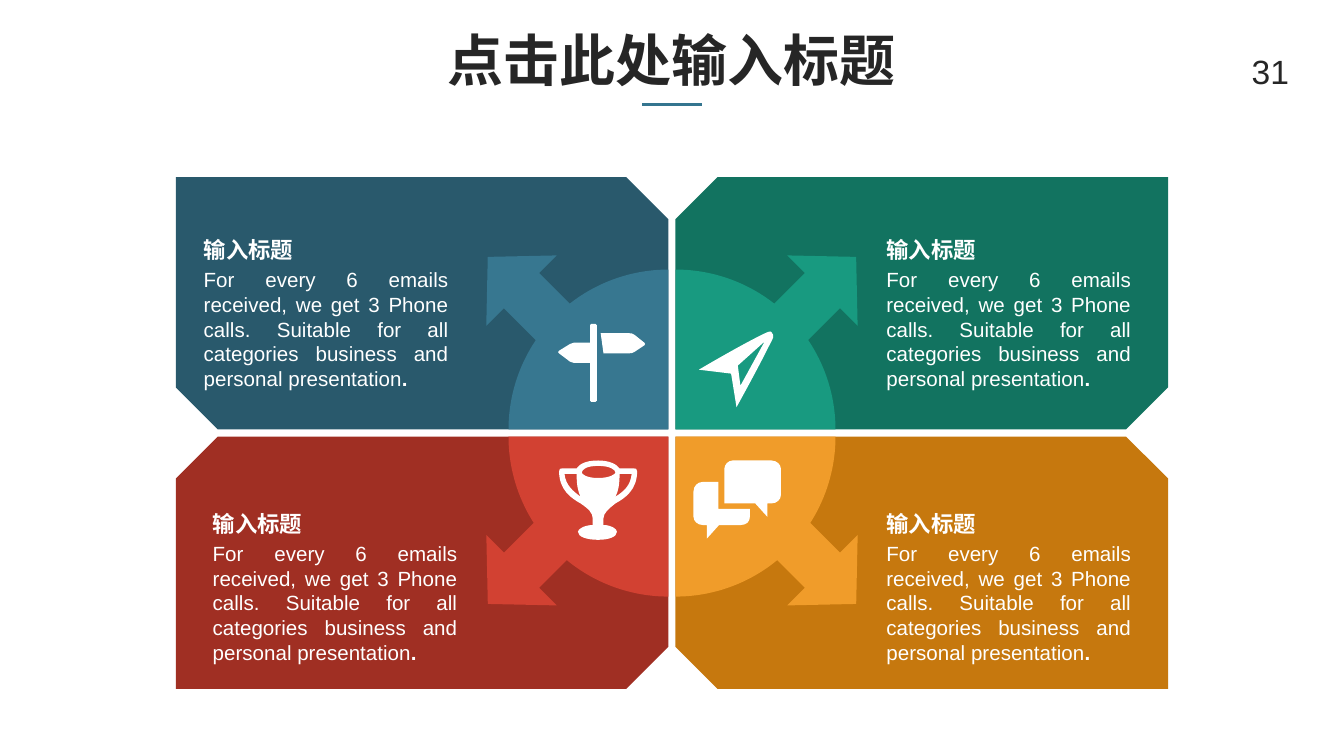
import pptx
import pptx.util
import pptx.dml.color
import pptx.enum.shapes
import pptx.enum.text
import pptx.oxml.ns
import lxml.etree

Pt = pptx.util.Pt
qn = pptx.oxml.ns.qn
SHAPE = pptx.enum.shapes.MSO_SHAPE
ALIGN = pptx.enum.text.PP_ALIGN

COLORS = {
    "ink": "262626", "white": "FFFFFF", "rule": "34758F",
    "blue": "377790", "blue_dark": "29596C",
    "green": "189A80", "green_dark": "127360",
    "red": "D24132", "red_dark": "A02F23",
    "orange": "F09C2A", "orange_dark": "C6780E",
}
FONT = "Arial"
TITLE = "点击此处输入标题"
PAGE_NUMBER = "31"
HEADING = "输入标题"
BODY = ("For every 6 emails received, we get 3 Phone calls. "
        "Suitable for all categories business and personal presentation")

SIGNPOST = [
    [(20.9, 0.7), (20.9, 41.2), (20.9, 41.8, 20.9, 41.8, 20.2, 41.8), (18, 41.8),
     (17.3, 41.8, 17.3, 41.8, 17.3, 41.2), (17.3, 20.9), (8.6, 20.9),
     (7.9, 20.9, 7.2, 20.7, 6.5, 20.2), (0.7, 15.8), (0, 15.5, 0, 14.8, 0.7, 14.4),
     (6.5, 10.8), (7.2, 10.3, 7.9, 10.1, 8.6, 10.1), (17.3, 10.1), (17.3, 0.7),
     (17.3, 0, 17.3, 0, 18, 0), (20.2, 0), (20.9, 0, 20.9, 0, 20.9, 0.7)],
    [(46.8, 10.8), (46.8, 11.2, 46.6, 11.4, 46.4, 11.5), (41, 15.1),
     (40.3, 15.6, 39.2, 15.8, 38.2, 15.8), (24.5, 15.8), (23, 5), (38.2, 5),
     (39.2, 5, 40.3, 5.2, 41, 5.8), (46.4, 10.1), (46.6, 10.2, 46.8, 10.4, 46.8, 10.8)],
]
PAPER_PLANE = [
    [(37.4, 8.6), (31.7, 20.2, 20.2, 41, 20.2, 41), (17.3, 23), (0, 20.9),
     (0, 20.9, 20.9, 8.6, 32.4, 2.9), (36.7, 0.7, 38.2, 0, 38.9, 0.7),
     (41, 2.9, 39.6, 4.3, 37.4, 8.6)],
    [(20.9, 18.7), (22.3, 29.5), (35.3, 5.8)],
]
TROPHY = [
    [(23.8, 34.6), (28.1, 34.6, 31, 36.7, 31, 38.2), (31, 41, 26.6, 42.5, 20.9, 42.5),
     (15.1, 42.5, 10.1, 41, 10.1, 38.2), (10.1, 36.7, 13.7, 34.6, 18, 34.6),
     (18, 31), (18, 28.1, 15.8, 25.9, 11.5, 23), (6.5, 20.2, 0, 15.8, 0, 5.8),
     (0, 4.3, 0.7, 4.3, 1.4, 4.3), (9.4, 4.3), (10.8, 2.2, 13.7, 0, 20.9, 0),
     (27.4, 0, 31, 2.2, 32.4, 4.3), (40.3, 4.3), (41, 4.3, 41.8, 4.3, 41.8, 5.8),
     (41.8, 15.8, 35.3, 20.2, 30.2, 23), (26.6, 25.9, 23.8, 28.1, 23.8, 31)],
    [(11.5, 19.4), (10.1, 16.6, 9.4, 13, 9.4, 7.2), (2.9, 7.2),
     (3.6, 13.7, 7.9, 16.6, 11.5, 19.4)],
    [(12.2, 6.5), (12.2, 7.2, 14.4, 9.4, 20.9, 9.4), (27.4, 9.4, 30.2, 7.2, 30.2, 6.5),
     (30.2, 5, 27.4, 2.9, 20.9, 2.9), (14.4, 2.9, 12.2, 5, 12.2, 6.5)],
    [(38.9, 7.2), (32.4, 7.2), (32.4, 13, 31.7, 16.6, 30.2, 19.4),
     (34.6, 16.6, 38.2, 13.7, 38.9, 7.2)],
]
CHAT = [
    [(30.2, 25.9), (30.2, 30.2), (30.2, 32.4, 28.8, 34.6, 25.2, 34.6), (13.7, 34.6),
     (7.2, 41.8), (7.2, 34.6), (5, 34.6), (2.2, 34.6, 0, 32.4, 0, 30.2), (0, 16.6),
     (0, 13.7, 2.2, 11.5, 5, 11.5), (13.4, 11.5), (13.4, 25.9)],
    [(46.8, 4.3), (46.8, 18.7), (46.8, 20.9, 44.6, 23, 41.8, 23), (39.6, 23),
     (39.6, 30.2), (33.1, 23), (16.6, 23), (16.6, 4.3), (16.6, 2.2, 18.7, 0, 20.9, 0),
     (41.8, 0), (44.6, 0, 46.8, 2.2, 46.8, 4.3)],
]

QUADRANTS = [
    (-1, -1, "blue", 0, (104.1, 123.8), SIGNPOST, (298.8, 173.5)),
    (1, -1, "green", 90, (469.8, 123.8), PAPER_PLANE, (374.4, 177.2)),
    (1, 1, "orange", 180, (469.8, 270.4), CHAT, (371.5, 246.7)),
    (-1, 1, "red", 270, (108.9, 270.4), TROPHY, (299.5, 246.7)),
]
CENTER_X, CENTER_Y, HALF_GAP = 360, 232, 1.9
PANEL_W, PANEL_H, WEDGE = 263.9, 135.2, 85.7
ARROW_W, ARROW_H, ARROW_DX, ARROW_DY, ARROW_CENTER_Y = 53.3, 51.1, 80.6, 74.9, 230.6
SNIP = 0.1667

deck = pptx.Presentation()
deck.slide_width, deck.slide_height = Pt(720), Pt(405)
slide = deck.slides.add_slide(deck.slide_layouts[6])


def rgb(name):
    return pptx.dml.color.RGBColor.from_string(COLORS[name])


def paint(shape, color):
    shape.shadow.inherit = False
    shape.fill.solid()
    shape.fill.fore_color.rgb = rgb(color)
    shape.line.fill.background()


def add_preset(kind, left, top, width, height, color, turn=0):
    shape = slide.shapes.add_shape(kind, Pt(left), Pt(top), Pt(width), Pt(height))
    paint(shape, color)
    shape.rotation = turn
    return shape


def add_text(left, top, width, height, runs, size, color, align=ALIGN.LEFT, wrap=True):
    frame = slide.shapes.add_textbox(Pt(left), Pt(top), Pt(width), Pt(height)).text_frame
    frame.word_wrap = wrap
    frame.margin_left = frame.margin_right = Pt(5.04)
    frame.margin_top = frame.margin_bottom = Pt(2.88)
    paragraph = frame.paragraphs[0]
    paragraph.alignment = align
    for text, bold in runs:
        run = paragraph.add_run()
        run.text = text
        run.font.name, run.font.size, run.font.bold = FONT, Pt(size), bold
        run.font.color.rgb = rgb(color)


def step_points(step):
    return [(Pt(x), Pt(y)) for x, y in zip(step[::2], step[1::2])]


def add_icon(outlines, left, top):
    builder = slide.shapes.build_freeform(*step_points(outlines[0][0])[0])
    for number, (start, *steps) in enumerate(outlines):
        if number:
            builder.move_to(*step_points(start)[0])
        builder.add_line_segments([p for step in steps for p in step_points(step)], close=True)
    icon = builder.convert_to_shape(Pt(left), Pt(top))
    paint(icon, "white")
    outline_path = next(icon._element.iter(qn("a:path")))
    lines = iter(outline_path.findall(qn("a:lnTo")))
    for step in (step for outline in outlines for step in outline[1:]):
        group = [next(lines) for _ in step[::2]]
        if len(group) == 3:
            curve = lxml.etree.Element(qn("a:cubicBezTo"))
            group[0].addprevious(curve)
            for line in group:
                curve.append(line[0])
                outline_path.remove(line)


def beside_center(center, side, size):
    return center + HALF_GAP if side > 0 else center - HALF_GAP - size


rule = slide.shapes.add_connector(
    pptx.enum.shapes.MSO_CONNECTOR.STRAIGHT, Pt(344), Pt(56), Pt(376), Pt(56))
rule.line.color.rgb = rgb("rule")
rule.line.width = Pt(2)
lxml.etree.SubElement(rule._element.spPr, qn("a:effectLst"))

for column, row, color, *_ in QUADRANTS:
    panel = add_preset(SHAPE.SNIP_2_DIAG_RECTANGLE,
                       beside_center(CENTER_X, column, PANEL_W),
                       beside_center(CENTER_Y, row, PANEL_H),
                       PANEL_W, PANEL_H, color + "_dark")
    snips = (0, SNIP) if column == row else (SNIP, 0)
    panel.adjustments[0], panel.adjustments[1] = snips

add_text(49.7, 10.8, 620.6, 51.1, [(TITLE, True)], 30, "ink", ALIGN.CENTER)

for column, row, color, turn, *_ in QUADRANTS:
    add_preset(SHAPE.UP_ARROW,
               CENTER_X + column * ARROW_DX - ARROW_W / 2,
               ARROW_CENTER_Y + row * ARROW_DY - ARROW_H / 2,
               ARROW_W, ARROW_H, color, (turn + 315) % 360)
    add_preset(SHAPE.PIE_WEDGE,
               beside_center(CENTER_X, column, WEDGE),
               beside_center(CENTER_Y, row, WEDGE),
               WEDGE, WEDGE, color, turn)

for *_, (left, top), icon, icon_position in QUADRANTS:
    add_text(left, top + 16.6, 141.2, 72, [(BODY, False), (".", True)], 11, "white",
             ALIGN.JUSTIFY)
    add_text(left, top, 59, 20.2, [(HEADING, True)], 12, "white", wrap=False)
    add_icon(icon, *icon_position)

add_text(665.5, 24.5, 38.2, 21.6, [(PAGE_NUMBER, False)], 18, "ink")

deck.save("out.pptx")
